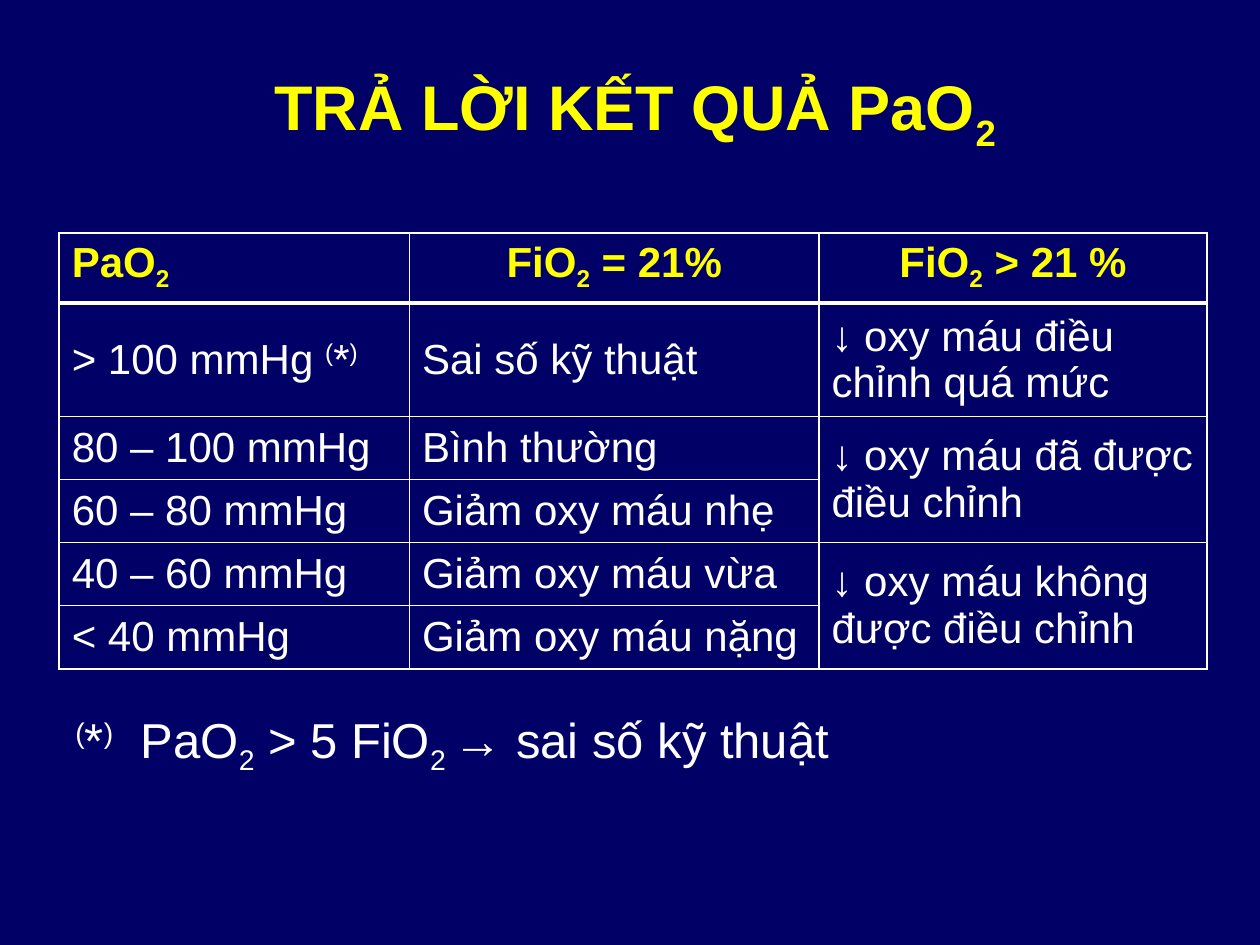
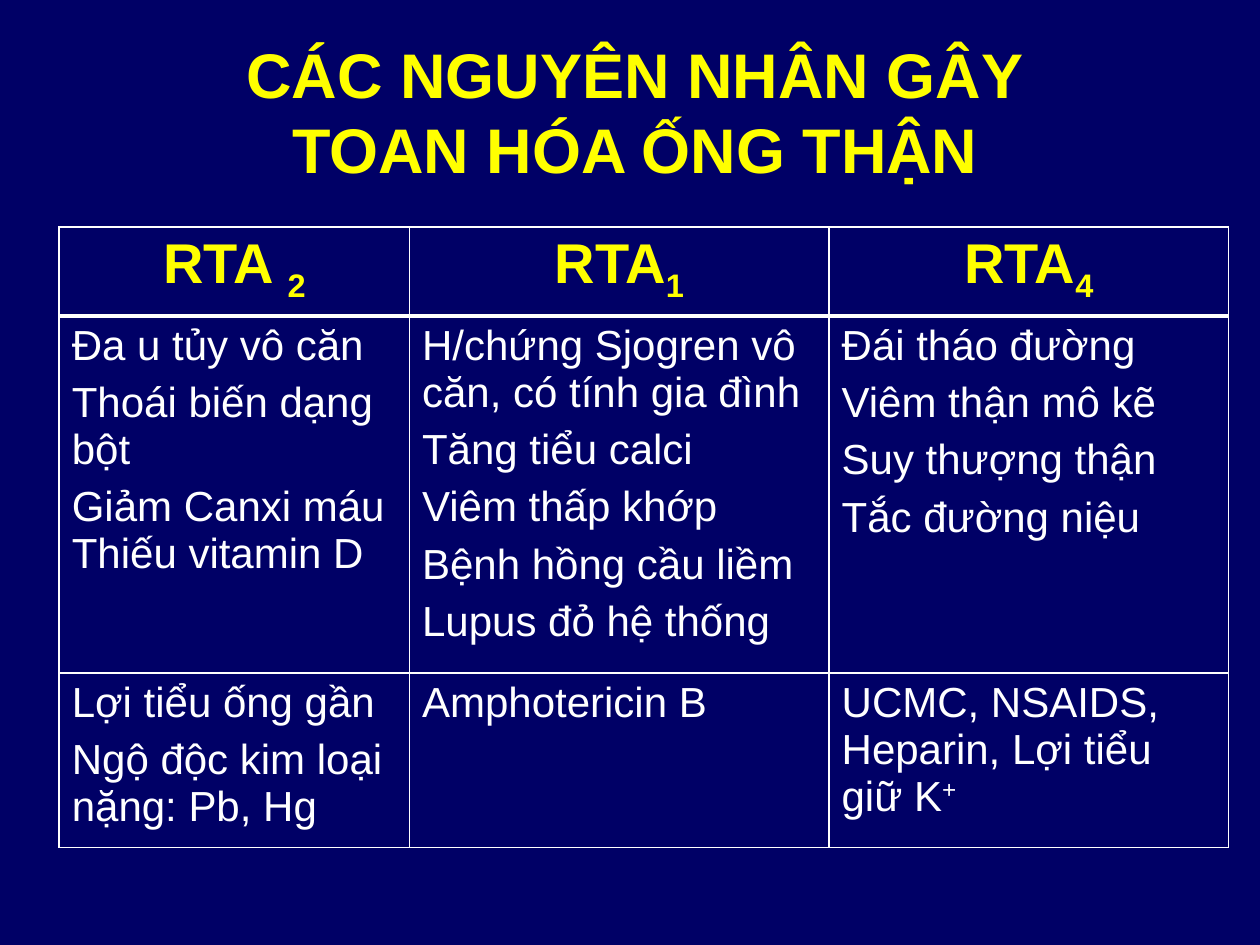
from dataclasses import dataclass
from typing import Optional

from lxml.etree import SubElement
from pptx import Presentation
from pptx.dml.color import RGBColor
from pptx.enum.text import MSO_ANCHOR as Anchor, PP_ALIGN as Align
from pptx.oxml.ns import qn
from pptx.util import Inches, Pt

# Shared look
NAVY = RGBColor(0x00, 0x00, 0x66)
GOLD = RGBColor(0xFF, 0xFF, 0x00)
WHITE = RGBColor(0xFF, 0xFF, 0xFF)
BLACK = RGBColor(0x00, 0x00, 0x00)
FONT = "Arial"
WIDE, HIGH = Inches(10), Inches(7.5)
LEFT = 4.7          # left margin, percent of the width
THIN, THICK = 1, 3  # border widths, points
SCRIPT = {"~": "-25000", "^": "30000"}  # ~below~ and ^above^


@dataclass
class Grid:
    top: float            # percent of the height
    cols: list[float]     # percents of the width
    rows: list[float]     # percents of the height
    cells: list[list[Optional[str]]]  # None continues the cell above
    head: int
    aligns: list[Align]
    anchor: Anchor


def across(share: float) -> int:
    return round(WIDE * share / 100)


def down(share: float) -> int:
    return round(HIGH * share / 100)


def add_shade(props) -> None:
    """Give a run a small dark shadow."""
    shade = SubElement(SubElement(props, qn("a:effectLst")), qn("a:outerShdw"),
                       dist="35921", dir="2700000", algn="ctr", rotWithShape="0")
    SubElement(shade, qn("a:srgbClr"), val=str(BLACK))


def write(frame, text: str, size: int = 24, color: RGBColor = WHITE,
          bold: bool = False, align: Align = Align.LEFT, gap: float = 0,
          shade: bool = False, tab: float = 0) -> None:
    """Fill a frame: newline for a paragraph, | for a line break."""
    frame.word_wrap = True
    for i, line in enumerate(text.split("\n")):
        para = frame.add_paragraph() if i else frame.paragraphs[0]
        para.alignment = align
        if i:
            para.space_before = Pt(gap)
        if tab:
            stops = SubElement(para._p.get_or_add_pPr(), qn("a:tabLst"))
            SubElement(stops, qn("a:tab"), pos=str(across(tab)), algn="l")
        mark = ""
        for part in line.replace("~", "\0~\0").replace("^", "\0^\0").replace("|", "\0|\0").split("\0"):
            if part == "|":
                para.add_line_break()
            elif part in SCRIPT:
                mark = "" if mark else part
            elif part:
                run = para.add_run()
                run.text = part
                font = run.font
                font.name, font.size, font.bold = FONT, Pt(size), bold
                font.color.rgb = color
                props = run._r.get_or_add_rPr()
                if mark:
                    props.set("baseline", SCRIPT[mark])
                if shade:
                    latin = props.find(qn("a:latin"))
                    add_shade(props)
                    latin.addprevious(props[-1])


def add_box(slide, top: float, left: float, width: float, height: float):
    return slide.shapes.add_textbox(across(left), down(top),
                                    across(width), down(height)).text_frame


def add_edges(cell, top: int, base: int) -> None:
    props = cell._tc.get_or_add_tcPr()
    for side, size in zip("LRTB", (THIN, THIN, top, base)):
        line = SubElement(props, qn(f"a:ln{side}"), w=str(Pt(size)))
        fill = SubElement(line, qn("a:solidFill"))
        SubElement(fill, qn("a:srgbClr"), val=str(WHITE))


def add_grid(slide, grid: Grid) -> None:
    table = slide.shapes.add_table(
        len(grid.rows), len(grid.cols), across(LEFT), down(grid.top),
        across(sum(grid.cols)), down(sum(grid.rows))).table
    table.first_row = table.horz_banding = False
    for col, share in zip(table.columns, grid.cols):
        col.width = across(share)
    for row, share in zip(table.rows, grid.rows):
        row.height = down(share)
    for r, texts in enumerate(grid.cells):
        for c, text in enumerate(texts):
            cell = table.cell(r, c)
            add_edges(cell, THICK if r == 1 else THIN, THICK if r == 0 else THIN)
            cell.fill.background()
            if text is None:
                table.cell(r - 1, c).merge(cell)
            elif r == 0:
                write(cell.text_frame, text, size=grid.head, color=GOLD,
                      bold=True, align=grid.aligns[c])
            else:
                cell.vertical_anchor = grid.anchor
                write(cell.text_frame, text, gap=6)


def add_page(deck, title: str, grid: Grid):
    slide = deck.slides.add_slide(deck.slide_layouts[6])
    slide.background.fill.solid()
    slide.background.fill.fore_color.rgb = NAVY
    frame = add_box(slide, 5.07, LEFT, 91.4, 13.33)
    frame.vertical_anchor = Anchor.MIDDLE
    write(frame, title, size=36, color=GOLD, bold=True, align=Align.CENTER, shade=True)
    add_grid(slide, grid)
    return slide


# Table contents
OXY = Grid(
    top=24.67, cols=[27.8, 32.5, 30.8], rows=[6.98, 11.22] + [6.3] * 4, head=24,
    aligns=[Align.LEFT, Align.CENTER, Align.CENTER], anchor=Anchor.MIDDLE,
    cells=[
        ["PaO~2~", "FiO~2~ = 21%", "FiO~2~ > 21 %"],
        ["> 100 mmHg ^(^*^)^", "Sai số kỹ thuật", "↓ oxy máu điều chỉnh quá mức"],
        ["80 – 100 mmHg", "Bình thường", "↓ oxy máu đã được điều chỉnh"],
        ["60 – 80 mmHg", "Giảm oxy máu nhẹ", None],
        ["40 – 60 mmHg", "Giảm oxy máu vừa", "↓ oxy máu không được điều chỉnh"],
        ["< 40 mmHg", "Giảm oxy máu nặng", None],
    ])
RTA = Grid(
    top=24, cols=[27.8, 33.3, 31.7], rows=[8.89, 35.56, 17.25], head=32,
    aligns=[Align.CENTER] * 3, anchor=Anchor.TOP,
    cells=[
        ["RTA ~2~", "RTA~1~", "RTA~4~"],
        ["Đa u tủy vô căn\nThoái biến dạng bột\nGiảm Canxi máu Thiếu vitamin D",
         "H/chứng Sjogren vô căn, có tính gia đình\nTăng tiểu calci\n"
         "Viêm thấp khớp\nBệnh hồng cầu liềm\nLupus đỏ hệ thống",
         "Đái tháo đường\nViêm thận mô kẽ\nSuy thượng thận\nTắc đường niệu"],
        ["Lợi tiểu ống gần\nNgộ độc kim loại nặng: Pb, Hg", "Amphotericin B",
         "UCMC, NSAIDS, Heparin, Lợi tiểu giữ K^+^"],
    ])


def main() -> None:
    deck = Presentation()
    deck.slide_width, deck.slide_height = WIDE, HIGH

    # Reading PaO2, with its footnote
    page = add_page(deck, "TRẢ LỜI KẾT QUẢ PaO~2~", OXY)
    note = add_box(page, 74.4, 5, 90.8, 7.6)
    write(note, "^(^*^)^\tPaO~2~ > 5 FiO~2 ~→ sai số kỹ thuật", size=28, tab=5.2)

    # Causes of RTA
    add_page(deck, "CÁC NGUYÊN NHÂN GÂY|TOAN HÓA ỐNG THẬN", RTA)
    deck.save("out.pptx")


if __name__ == "__main__":
    main()
